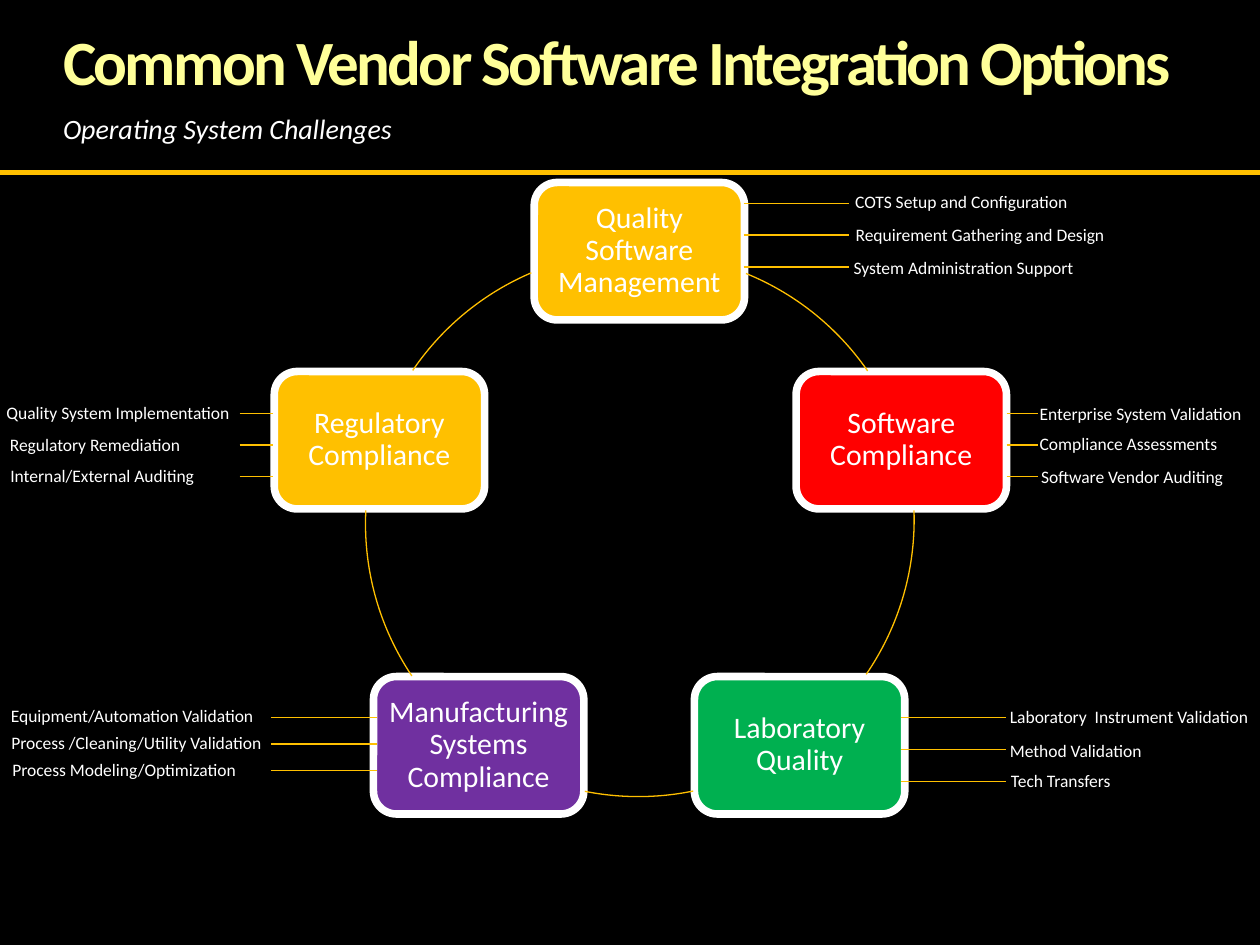
from pptx import Presentation
from pptx.dml.color import RGBColor as RGB
from pptx.enum.shapes import MSO_CONNECTOR as Conn, MSO_SHAPE as Kind
from pptx.enum.text import MSO_ANCHOR as Anchor, MSO_AUTO_SIZE as Auto, PP_ALIGN as Align
from pptx.oxml.ns import qn
from pptx.util import Cm, Pt
from lxml.etree import SubElement as Sub

BLACK = RGB(0x00, 0x00, 0x00)
WHITE = RGB(0xFF, 0xFF, 0xFF)
CREAM = RGB(0xFF, 0xFF, 0x99)
GOLD = RGB(0xFF, 0xC0, 0x00)
RED = RGB(0xFF, 0x00, 0x00)
GREEN = RGB(0x00, 0xB0, 0x50)
PURPLE = RGB(0x70, 0x30, 0xA0)

FONT = "Calibri"
BOX_W, BOX_H = 4.24, 2.77
RING = 11.0  # ring diameter

# Ring boxes: text, fill, left, top
BOXES = [
    ("Quality Software Management", GOLD, 10.77, 3.68),
    ("Software Compliance", RED, 16.05, 7.49),
    ("Laboratory Quality", GREEN, 14.0, 13.64),
    ("Manufacturing Systems Compliance", PURPLE, 7.53, 13.64),
    ("Regulatory Compliance", GOLD, 5.53, 7.49),
]

# Ring arcs: left, top, start and end angle in degrees
ARCS = [
    (7.47, 5.11, 292.1, 325.3),
    (7.43, 4.98, 358, 34.5),
    (7.37, 5.06, 78.4, 101.3),
    (7.37, 5.06, 146.1, 182.8),
    (7.37, 5.06, 214.2, 246.9),
]

# Leader lines: from x, to x, first y, gap; then labels: text, left, top
NOTES = [
    (14.99, 17.12, 4.1, 0.64, [
        ("COTS Setup and Configuration", 16.99, 3.73),
        ("Requirement Gathering and Design", 17.0, 4.4),
        ("System Administration Support", 16.96, 5.06)]),
    (20.29, 20.93, 8.33, 0.64, [
        ("Enterprise System Validation", 20.71, 8.0),
        ("Compliance Assessments", 20.71, 8.61),
        ("Software Vendor Auditing", 20.74, 9.27)]),
    (18.16, 20.28, 14.47, 0.64, [
        ("Laboratory  Instrument Validation", 20.11, 14.1),
        ("Method Validation", 20.11, 14.79),
        ("Tech Transfers", 20.13, 15.4)]),
    (5.46, 7.59, 14.47, 0.53, [
        ("Equipment/Automation Validation", -0.03, 14.09),
        ("Process /Cleaning/Utility Validation", -0.02, 14.64),
        ("Process Modeling/Optimization", 0, 15.18)]),
    (4.83, 5.51, 8.33, 0.64, [
        ("Quality System Implementation", -0.12, 7.98),
        ("Regulatory Remediation", -0.05, 8.62),
        ("Internal/External Auditing", -0.04, 9.25)]),
]


def write(frame, text, size, color, side=None, ends=0):
    """Fill a frame with one paragraph and return it."""
    frame.text = text
    frame.word_wrap = True
    if side is not None:
        frame.margin_left = frame.margin_right = Cm(side)
        frame.margin_top = frame.margin_bottom = Cm(ends)
    para = frame.paragraphs[0]
    font = para.runs[0].font
    font.name, font.size = FONT, Pt(size)
    font.color.rgb = color
    return para


def head(holder, text, top, high, size, color):
    """Move and format a title or body placeholder."""
    holder.left, holder.top = Cm(1.27), Cm(top)
    holder.width, holder.height = Cm(22.86), Cm(high)
    frame = holder.text_frame
    para = write(frame, text, size, color, 0)
    frame.auto_size = Auto.NONE
    frame.vertical_anchor = Anchor.TOP
    para.alignment = Align.LEFT
    para.line_spacing = 0.9
    return para


def line(slide, x1, y1, x2, y2, width):
    link = slide.shapes.add_connector(
        Conn.STRAIGHT, Cm(x1), Cm(y1), Cm(x2), Cm(y2))
    link.line.color.rgb = GOLD
    link.line.width = Pt(width)
    Sub(link._element.spPr, qn("a:effectLst"))


def box(slide, text, fill, left, top):
    shape = slide.shapes.add_shape(
        Kind.ROUNDED_RECTANGLE, Cm(left), Cm(top), Cm(BOX_W), Cm(BOX_H))
    shape.shadow.inherit = False
    shape.fill.solid()
    shape.fill.fore_color.rgb = fill
    shape.line.color.rgb = WHITE
    shape.line.width = Pt(4.33)
    # Narrow side margins keep the longest word on one line
    para = write(shape.text_frame, text, 17, WHITE, 0.05, 0.15)
    shape.text_frame.vertical_anchor = Anchor.MIDDLE
    para.alignment = Align.CENTER
    para.line_spacing = 0.9


def arc(slide, left, top, start, end):
    shape = slide.shapes.add_shape(
        Kind.ARC, Cm(left), Cm(top), Cm(RING), Cm(RING))
    shape.shadow.inherit = False
    shape.fill.background()
    shape.line.color.rgb = GOLD
    shape.line.width = Pt(0.75)
    # One degree is 60000 units; an adjustment of 1 is 100000
    for i, angle in enumerate((start, end)):
        shape.adjustments[i] = angle * 0.6


def label(slide, text, left, top):
    area = slide.shapes.add_textbox(Cm(left), Cm(top), Cm(6.55), Cm(0.68))
    write(area.text_frame, text, 10, WHITE)
    area.text_frame.auto_size = Auto.SHAPE_TO_FIT_TEXT


def main():
    deck = Presentation()
    deck.slide_width, deck.slide_height = Cm(25.4), Cm(19.05)
    slide = deck.slides.add_slide(deck.slide_layouts[1])
    slide.background.fill.solid()
    slide.background.fill.fore_color.rgb = BLACK

    # Heading
    para = head(slide.shapes.title, "Common Vendor Software Integration Options",
                0.62, 1.98, 36, CREAM)
    para.runs[0].font.bold = True
    para.runs[0].font._element.set("spc", "-150")
    para = head(slide.placeholders[1], "Operating System Challenges",
                2.32, 0.66, 16, WHITE)
    para.runs[0].font.italic = True
    props = para._p.get_or_add_pPr()
    props.set("marL", "0")
    props.set("indent", "0")
    Sub(props, qn("a:buNone"))
    line(slide, 0, 3.47, 25.4, 3.47, 3)

    # Ring
    for item in BOXES:
        box(slide, *item)
    for item in ARCS:
        arc(slide, *item)

    # Leader lines and labels
    for x1, x2, top, gap, labels in NOTES:
        for i, item in enumerate(labels):
            y = top + i * gap
            line(slide, x1, y, x2, y, 0.75)
            label(slide, *item)

    deck.save("out.pptx")


if __name__ == "__main__":
    main()
